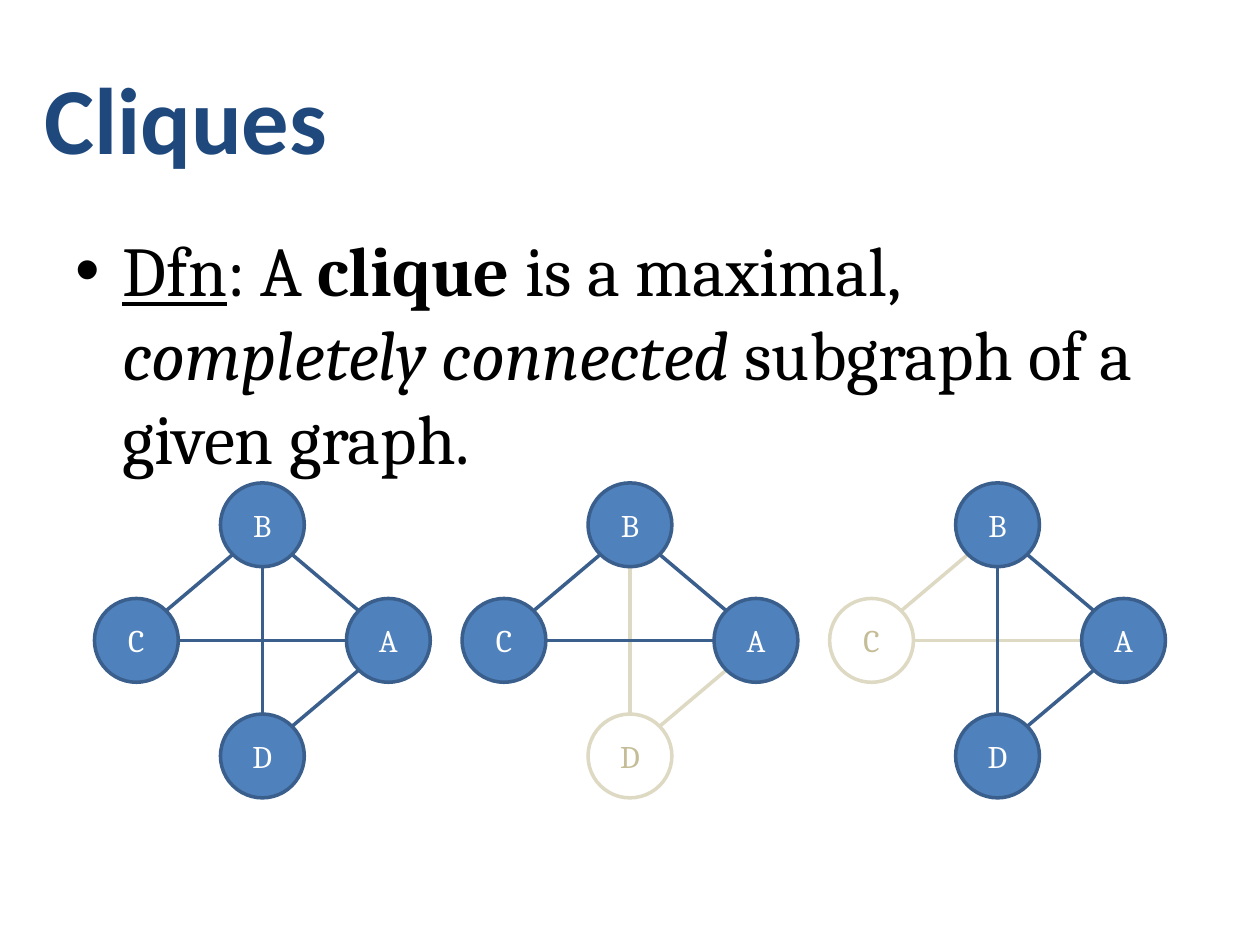
from lxml import etree
from math import hypot
from pptx import Presentation
from pptx.dml.color import RGBColor
from pptx.enum.shapes import MSO_CONNECTOR, MSO_SHAPE
from pptx.enum.text import MSO_ANCHOR, PP_ALIGN
from pptx.oxml.ns import qn
from pptx.util import Cm, Pt

STRAIGHT = MSO_CONNECTOR.STRAIGHT
OVAL = MSO_SHAPE.OVAL
TOP, MIDDLE = MSO_ANCHOR.TOP, MSO_ANCHOR.MIDDLE
CENTER = PP_ALIGN.CENTER

NODES = {"A": (1, 0), "B": (0, -1), "C": (-1, 0), "D": (0, 1)}
EDGES = ["CB", "AB", "AD", "BD", "CA"]
FADED_NODES = ["", "D", "C"]
DEFINITION = [
    ("Dfn", "underline"),
    (": A ", None),
    ("clique ", "bold"),
    ("is a maximal, ", None),
    ("completely connected ", "italic"),
    ("subgraph of a given graph.", None),
]


def rgb(value):
    return RGBColor.from_string(value)


class Deck:
    heading_font, body_font = "Calibri", "Cambria"
    navy, black = "1F497D", "000000"
    active = {"fill": "4F81BD", "line": "3A5F8C", "text": "FFFFFF"}
    faded = {"fill": "FFFFFF", "line": "DDD9C3", "text": "C4BD97"}
    line_width = Pt(2)
    diameter = 1.69
    step_x, step_y = 2.54, 2.33

    def __init__(self):
        self.prs = Presentation()
        self.prs.slide_width, self.prs.slide_height = Cm(25.4), Cm(19.05)
        self.s = self.prs.slides.add_slide(self.prs.slide_layouts[6])

    def style_run(self, r, size, color, font):
        r.font.size, r.font.name = Pt(size), font
        r.font.color.rgb = rgb(color)

    def text_box(self, x, y, w, h, anchor):
        tf = self.s.shapes.add_textbox(Cm(x), Cm(y), Cm(w), Cm(h)).text_frame
        tf.word_wrap = True
        tf.vertical_anchor = anchor
        return tf

    def title(self, text):
        tf = self.text_box(0.64, 0.76, 24.13, 3.18, MIDDLE)
        tf.text = text
        r = tf.paragraphs[0].runs[0]
        self.style_run(r, 54, self.navy, self.heading_font)
        r.font.bold = True

    def bullet(self, parts):
        p = self.text_box(1.27, 4.45, 22.86, 14.6, TOP).paragraphs[0]
        for text, emphasis in parts:
            r = p.add_run()
            r.text = text
            self.style_run(r, 40, self.black, self.body_font)
            if emphasis:
                setattr(r.font, emphasis, True)
        pPr = p._p.get_or_add_pPr()
        pPr.set("marL", str(Cm(0.95)))
        pPr.set("indent", str(-Cm(0.95)))
        before = etree.SubElement(pPr, qn("a:spcBef"))
        etree.SubElement(before, qn("a:spcPct")).set("val", "20000")
        etree.SubElement(pPr, qn("a:buFont")).set("typeface", "Arial")
        etree.SubElement(pPr, qn("a:buChar")).set("char", "•")

    def node(self, name, x, y, look):
        d = self.diameter
        sp = self.s.shapes.add_shape(OVAL, Cm(x - d / 2), Cm(y - d / 2), Cm(d), Cm(d))
        sp.shadow.inherit = False
        sp.fill.solid()
        sp.fill.fore_color.rgb = rgb(look["fill"])
        sp.line.color.rgb = rgb(look["line"])
        sp.line.width = self.line_width
        tf = sp.text_frame
        tf.vertical_anchor = MIDDLE
        tf.text = name
        p = tf.paragraphs[0]
        p.alignment = CENTER
        self.style_run(p.runs[0], 18, look["text"], self.body_font)

    def edge(self, start, end, direction, look):
        scale = self.diameter / 2 / hypot(*direction)
        dx, dy = (scale * v for v in direction)
        line = self.s.shapes.add_connector(
            STRAIGHT, Cm(start[0] + dx), Cm(start[1] + dy),
            Cm(end[0] - dx), Cm(end[1] - dy))
        line.line.color.rgb = rgb(look["line"])
        line.line.width = self.line_width
        etree.SubElement(line._element.spPr, qn("a:effectLst"))

    def graph(self, cx, cy, faded_node):
        centers = {name: (cx + i * self.step_x, cy + j * self.step_y)
                   for name, (i, j) in NODES.items()}
        for a, b in sorted(EDGES, key=lambda pair: faded_node not in pair):
            direction = [(v > u) - (v < u) for u, v in zip(NODES[a], NODES[b])]
            look = self.faded if faded_node in (a, b) else self.active
            self.edge(centers[a], centers[b], direction, look)
        for name, (x, y) in centers.items():
            self.node(name, x, y, self.faded if name == faded_node else self.active)


def main():
    deck = Deck()
    deck.title("Cliques")
    deck.bullet(DEFINITION)
    for i, faded_node in enumerate(FADED_NODES):
        deck.graph(5.29 + i * 7.41, 12.91, faded_node)
    deck.prs.save("out.pptx")


if __name__ == "__main__":
    main()
